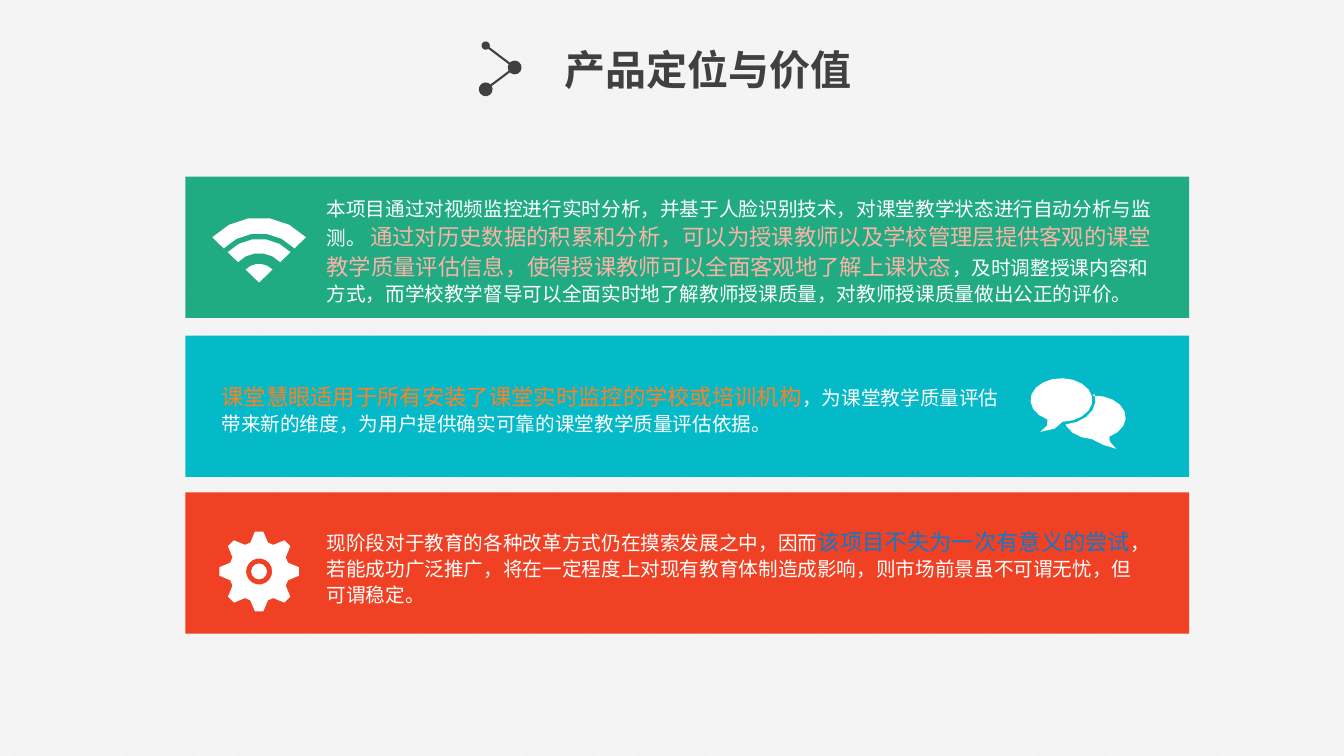
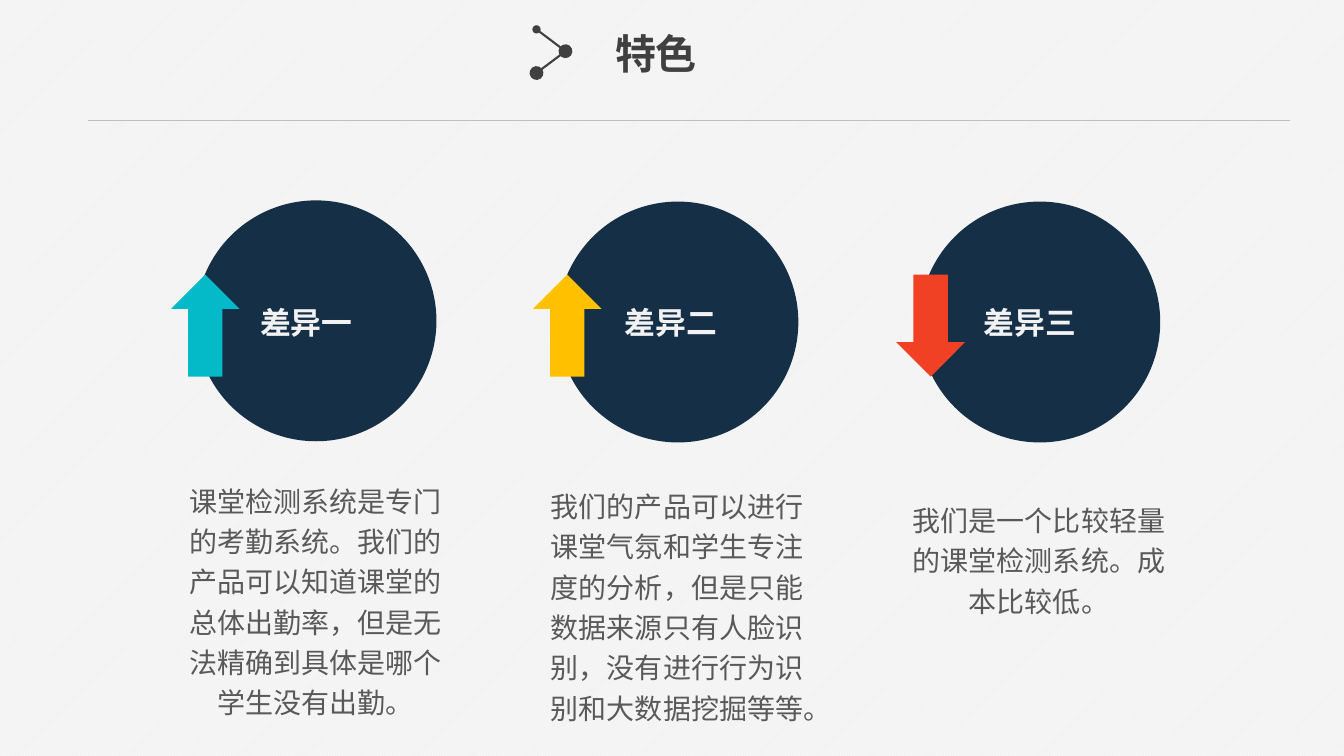
from math import ceil, cos, radians, sin

from lxml.etree import SubElement
from pptx import Presentation
from pptx.dml.color import RGBColor
from pptx.enum.dml import MSO_PATTERN
from pptx.enum.shapes import MSO_CONNECTOR, MSO_SHAPE
from pptx.enum.text import PP_ALIGN
from pptx.oxml.ns import qn
from pptx.util import Cm, Pt

BODY_FONT = "Noto Sans CJK SC"
TITLE_FONT = "Arial"
WHITE, PAPER, NAVY = "FFFFFF", "F2F2F2", "152F47"
GREEN, CYAN, RED, YELLOW = "21AB82", "05BAC8", "F14124", "FFC000"
DARK, GREY, RULE = "404040", "595959", "BFBFBF"


def rgb(value):
    return RGBColor.from_string(value)


def paint(sp, color):
    sp.shadow.inherit = False
    sp.fill.solid()
    sp.fill.fore_color.rgb = rgb(color)
    sp.line.fill.background()
    return sp


def add_block(s, kind, x, y, w, h, color):
    return paint(s.shapes.add_shape(kind, Cm(x), Cm(y), Cm(w), Cm(h)), color)


def add_outline(s, contours, color):
    contours = [[(Cm(x), Cm(y)) for x, y in points] for points in contours]
    builder = s.shapes.build_freeform(*contours[0][0])
    for i, points in enumerate(contours):
        if i:
            builder.move_to(*points[0])
        builder.add_line_segments(points[1:], close=True)
    return paint(builder.convert_to_shape(), color)


def arc(cx, cy, rx, ry, start, end):
    steps = ceil(abs(end - start) / 20)
    angles = [radians(start + (end - start) * i / steps) for i in range(steps + 1)]
    return [(cx + rx * cos(a), cy + ry * sin(a)) for a in angles]


def add_line(s, x1, y1, x2, y2, color, width, head=None, tail=None):
    cxn = s.shapes.add_connector(MSO_CONNECTOR.STRAIGHT, Cm(x1), Cm(y1), Cm(x2), Cm(y2))
    cxn.line.color.rgb = rgb(color)
    cxn.line.width = Pt(width)
    ln = cxn._element.spPr.find(qn("a:ln"))
    for tag, size in (("a:headEnd", head), ("a:tailEnd", tail)):
        if size:
            SubElement(ln, qn(tag), type="oval", w=size, len=size)
    SubElement(cxn._element.spPr, qn("a:effectLst"))


def add_run(p, text, size=14, color=WHITE, bold=False, font=BODY_FONT):
    r = p.add_run()
    r.text = text
    r.font.size = Pt(size)
    r.font.bold = bold
    r.font.color.rgb = rgb(color)
    r.font.name = font
    SubElement(r._r.get_or_add_rPr(), qn("a:ea"), typeface=font)


def add_text(s, x, y, w, h, runs, wrap=True, align=PP_ALIGN.LEFT, spacing=1.0,
             inset=(0.25, 0.13)):
    tf = s.shapes.add_textbox(Cm(x), Cm(y), Cm(w), Cm(h)).text_frame
    tf.word_wrap = wrap
    tf.margin_left = tf.margin_right = Cm(inset[0])
    tf.margin_top = tf.margin_bottom = Cm(inset[1])
    p = tf.paragraphs[0]
    p.alignment = align
    p.line_spacing = spacing
    for text, fmt in runs:
        add_run(p, text, **fmt)


def add_title(s, text, x, y, w):
    add_text(s, x, y, w, 1.5,
             [(text, dict(size=29.3, color=DARK, bold=True, font=TITLE_FONT))], wrap=False)
    left, top = x - 1.73, y + 0.16
    right, middle, bottom = left + 0.73, top + 0.55, top + 1.1
    add_line(s, left, top, right, middle, DARK, 1.5, "med", "lg")
    add_line(s, right, middle, left, bottom, DARK, 1.5, "med", "lg")


def add_wifi(s, cx, cy):
    for outer, inner in ((1.64, 1.24), (1.1, 0.74), (0.47, 0)):
        points = arc(cx, cy, outer, outer, -136, -44)
        points += arc(cx, cy, inner, inner, -44, -136) if inner else [(cx, cy)]
        add_outline(s, [points], WHITE)


def add_gear(s, cx, cy):
    tooth = ((-17, 0.76), (-6, 1.01), (6, 1.01), (17, 0.76))
    rim = [(cx + radius * cos(radians(turn + a)), cy + radius * sin(radians(turn + a)))
           for turn in range(0, 360, 45) for a, radius in tooth]
    add_outline(s, [rim, arc(cx, cy, 0.33, 0.33, 360, 0)], WHITE)
    add_block(s, MSO_SHAPE.OVAL, cx - 0.2, cy - 0.2, 0.4, 0.4, WHITE)


def add_bubbles(s, x, y):
    rx, ry = 0.78, 0.55
    front = (x + rx, y + ry)
    back = (front[0] + 0.84, front[1] + 0.44)
    front_tail = [(x + 0.61, y + 1.27), (x + 0.25, y + 1.35), (x + 0.42, y + 1.19)]
    back_tail = [(x + 2.0, y + 1.6), (x + 2.16, y + 1.78), (x + 1.83, y + 1.68)]
    add_outline(s, [arc(*back, rx, ry, -94, 62) + back_tail
                    + arc(*back, rx, ry, 95, 155)
                    + arc(*front, 0.86, 0.62, 83, -15)], WHITE)
    add_outline(s, [arc(*front, rx, ry, 117, 448) + front_tail], WHITE)


def build_value(s):
    add_title(s, "产品定位与价值", 13.97, 0.99, 7.85)
    for y, color in ((4.45, GREEN), (8.46, CYAN), (12.41, RED)):
        add_block(s, MSO_SHAPE.RECTANGLE, 4.67, y, 25.3, 3.56, color)
    add_bubbles(s, 25.97, 9.53)
    add_gear(s, 6.53, 14.4)
    add_wifi(s, 6.53, 7.12)
    plain = {}
    statements = (
        (7.98, 4.78, 21.34, 3.02, [
            ("本项目通过对视频监控进行实时分析，并基于人脸识别技术，对课堂教学状态进行自动分析与监测。 ", plain),
            ("通过对历史数据的积累和分析，可以为授课教师以及学校管理层提供客观的课堂教学质量评估信息，"
             "使得授课教师可以全面客观地了解上课状态", dict(size=16, color="F9B3A7")),
            ("，及时调整授课内容和方式，而学校教学督导可以全面实时地了解教师授课质量，"
             "对教师授课质量做出公正的评价。", plain)]),
        (7.98, 13.11, 20.85, 2.29, [
            ("现阶段对于教育的各种改革方式仍在摸索发展之中，因而", plain),
            ("该项目不失为一次有意义的尝试", dict(size=16, color="0D79CA")),
            ("，若能成功广泛推广，将在一定程度上对现有教育体制造成影响，"
             "则市场前景虽不可谓无忧，但可谓稳定。", plain)]),
        (5.33, 9.45, 20.17, 1.63, [
            ("课堂慧眼适用于所有安装了课堂实时监控的学校或培训机构", dict(size=16, color="FF8021")),
            ("，为课堂教学质量评估带来新的维度，为用户提供确实可靠的课堂教学质量评估依据。", plain)]),
    )
    for x, y, w, h, runs in statements:
        add_text(s, x, y, w, h, runs, spacing=1.1)


def build_features(s):
    add_title(s, "特色", 15.25, 0.58, 2.62)
    features = (
        ("差异一", 6.31, 5.05, MSO_SHAPE.UP_ARROW, 4.31, CYAN, 11.86, 6.1,
         "课堂检测系统是专门的考勤系统。我们的产品可以知道课堂的总体出勤率，"
         "但是无法精确到具体是哪个学生没有出勤。"),
        ("差异二", 15.5, 5.08, MSO_SHAPE.UP_ARROW, 13.43, YELLOW, 12.0, 6.65,
         "我们的产品可以进行课堂气氛和学生专注度的分析，但是只能数据来源只有人脸识别，"
         "没有进行行为识别和大数据挖掘等等。"),
        ("差异三", 24.54, 5.08, MSO_SHAPE.DOWN_ARROW, 22.59, RED, 12.35, 3.05,
         "我们是一个比较轻量的课堂检测系统。成本比较低。"),
    )
    for i, (label, label_x, disc_y, arrow, arrow_x, color, top, height,
            detail) in enumerate(features):
        shift = 9.12 * i
        add_block(s, MSO_SHAPE.OVAL, 4.93 + shift, disc_y, 6.07, 6.07, NAVY)
        add_block(s, arrow, arrow_x, 6.92, 1.73, 2.57, color)
        add_text(s, label_x, 7.52, 3.81, 1.19,
                 [(label, dict(size=22, color=PAPER, bold=True))])
        add_text(s, 4.25 + shift, top, 7.39, height, [(detail, dict(size=20, color=GREY))],
                 align=PP_ALIGN.CENTER, spacing=1.2, inset=(0.33, 0.17))
    add_line(s, 2.22, 3.04, 32.52, 3.04, RULE, 0.5)


def main():
    prs = Presentation()
    prs.slide_width, prs.slide_height = Cm(33.87), Cm(19.05)
    fill = prs.slide_master.background.fill
    fill.patterned()
    fill.pattern = MSO_PATTERN.LIGHT_UPWARD_DIAGONAL
    fill.fore_color.rgb = rgb(WHITE)
    fill.back_color.rgb = rgb(PAPER)
    for build in (build_value, build_features):
        build(prs.slides.add_slide(prs.slide_layouts[6]))
    prs.save("out.pptx")


if __name__ == "__main__":
    main()
